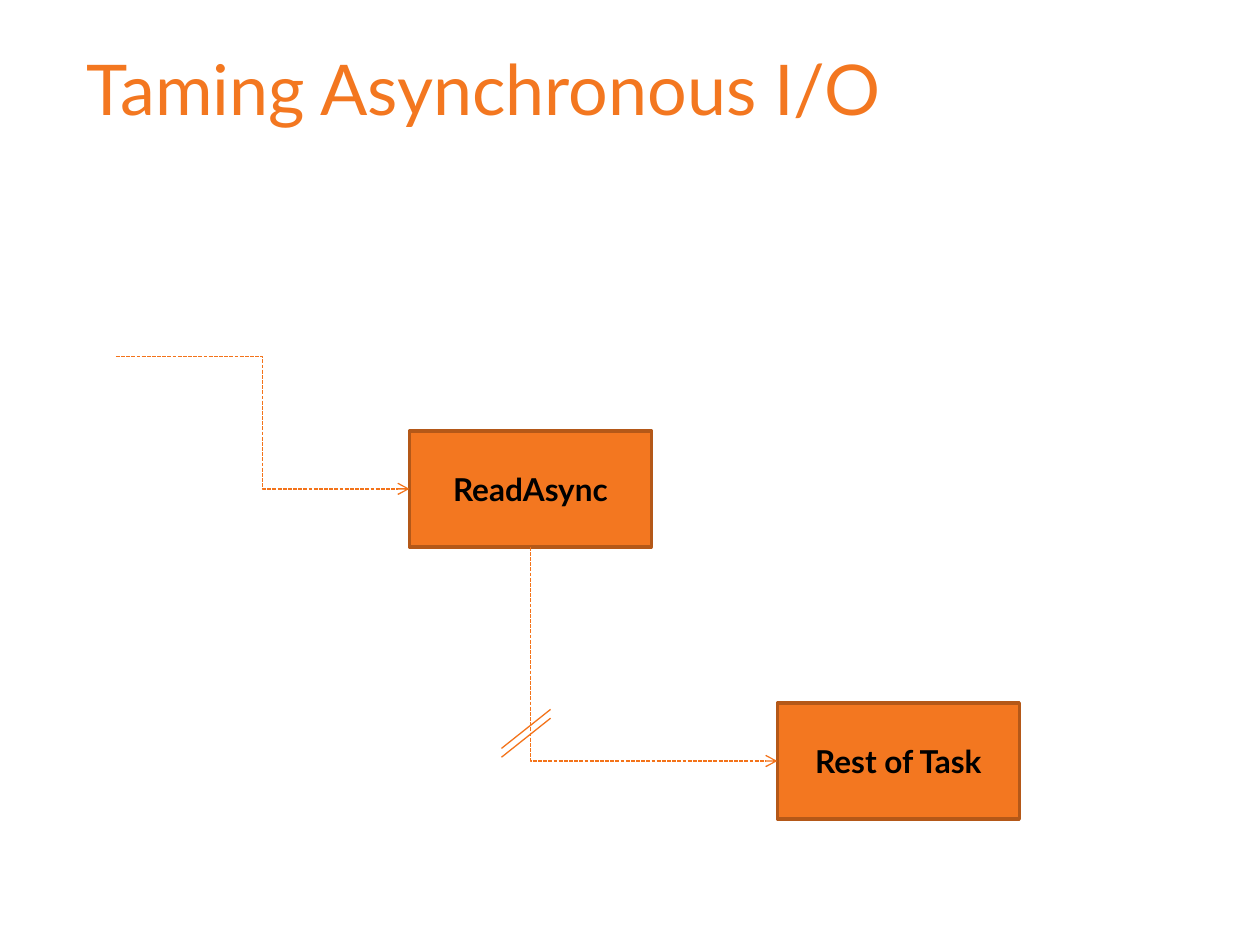
from dataclasses import dataclass

from pptx import Presentation
from pptx.dml.color import RGBColor
from pptx.enum.dml import MSO_LINE
from pptx.enum.shapes import MSO_CONNECTOR as CONNECTOR, MSO_SHAPE as SHAPE
from pptx.enum.text import MSO_ANCHOR as ANCHOR, PP_ALIGN as ALIGN
from pptx.oxml.ns import qn
from pptx.util import Inches, Pt
from lxml.etree import SubElement

TOP, LEFT, BOTTOM, RIGHT = range(4)


@dataclass(frozen=True)
class Theme:
    font: str = "Lato"
    accent: RGBColor = RGBColor(0xF3, 0x77, 0x20)
    border: RGBColor = RGBColor(0xB4, 0x58, 0x18)
    flow: RGBColor = RGBColor(0xF3, 0x73, 0x1A)
    ink: RGBColor = RGBColor(0, 0, 0)
    title_size: int = 40
    task_size: int = 18
    border_width: float = 2
    flow_width: float = 0.75


def write(frame, text, *, font, size, color, bold=False, align=ALIGN.LEFT, anchor=ANCHOR.TOP):
    frame.word_wrap = True
    frame.vertical_anchor = anchor
    paragraph = frame.paragraphs[0]
    paragraph.alignment = align
    run = paragraph.add_run()
    run.text = text
    run.font.name = font
    run.font.size = Pt(size)
    run.font.bold = bold
    run.font.color.rgb = color


class FlowSlide:
    def __init__(self, slide, theme):
        self.slide = slide
        self.theme = theme

    def title(self, text, left, top, width, height):
        heading = self.slide.shapes.title
        heading.left, heading.top = Inches(left), Inches(top)
        heading.width, heading.height = Inches(width), Inches(height)
        write(heading.text_frame, text, font=self.theme.font,
              size=self.theme.title_size, color=self.theme.accent)

    def task(self, text, left, top, width=1.92, height=0.92):
        box = self.slide.shapes.add_shape(
            SHAPE.RECTANGLE, Inches(left), Inches(top), Inches(width), Inches(height))
        box.shadow.inherit = False
        box.fill.solid()
        box.fill.fore_color.rgb = self.theme.accent
        box.line.color.rgb = self.theme.border
        box.line.width = Pt(self.theme.border_width)
        write(box.text_frame, text, font=self.theme.font, size=self.theme.task_size,
              color=self.theme.ink, bold=True, align=ALIGN.CENTER, anchor=ANCHOR.MIDDLE)
        return box

    def line(self, start, end, kind=CONNECTOR.STRAIGHT):
        line = self.slide.shapes.add_connector(
            kind, *(Inches(value) for value in (*start, *end)))
        line.line.color.rgb = self.theme.flow
        line.line.width = Pt(self.theme.flow_width)
        SubElement(line._element.spPr, qn("a:effectLst"))
        return line

    def flow(self, start, end):
        """Dashed elbow arrow that turns halfway across."""
        arrow = self.line(start, end, CONNECTOR.ELBOW)
        arrow.line.dash_style = MSO_LINE.SQUARE_DOT
        SubElement(arrow.line._get_or_add_ln(), qn("a:tailEnd"), type="arrow")
        return arrow

    def continuation(self, source, target):
        """Dashed arrow that drops from source, then turns once into target's left side."""
        arrow = self.flow((0, 0), (1, 1))
        arrow.begin_connect(source, BOTTOM)
        arrow.end_connect(target, LEFT)
        across, down = arrow.width, arrow.height
        shift = (across - down) // 2
        # A single-turn elbow runs across first, so it is turned to run down first.
        arrow.left, arrow.top = arrow.left + shift, arrow.top - shift
        arrow.width, arrow.height = down, across
        properties = arrow._element.spPr
        properties.find(qn("a:prstGeom")).set("prst", "bentConnector2")
        frame = properties.find(qn("a:xfrm"))
        frame.set("rot", str(270 * 60000))
        frame.set("flipH", "1")


def main():
    deck = Presentation()
    deck.slide_width, deck.slide_height = Inches(10), Inches(7.5)
    page = FlowSlide(deck.slides.add_slide(deck.slide_layouts[5]), Theme())

    page.title("Taming Asynchronous I/O", 0.59, 0.31, 8.8, 1.25)
    read = page.task("ReadAsync", 3.25, 3.42)
    rest = page.task("Rest of Task", 6.17, 5.58)

    page.continuation(read, rest)
    entry = page.flow((0.92, 2.83), (3.25, 3.88))
    entry.end_connect(read, LEFT)
    for break_top in (5.63, 5.7):
        page.line((3.98, break_top + 0.31), (4.37, break_top))

    deck.save("out.pptx")


if __name__ == "__main__":
    main()
